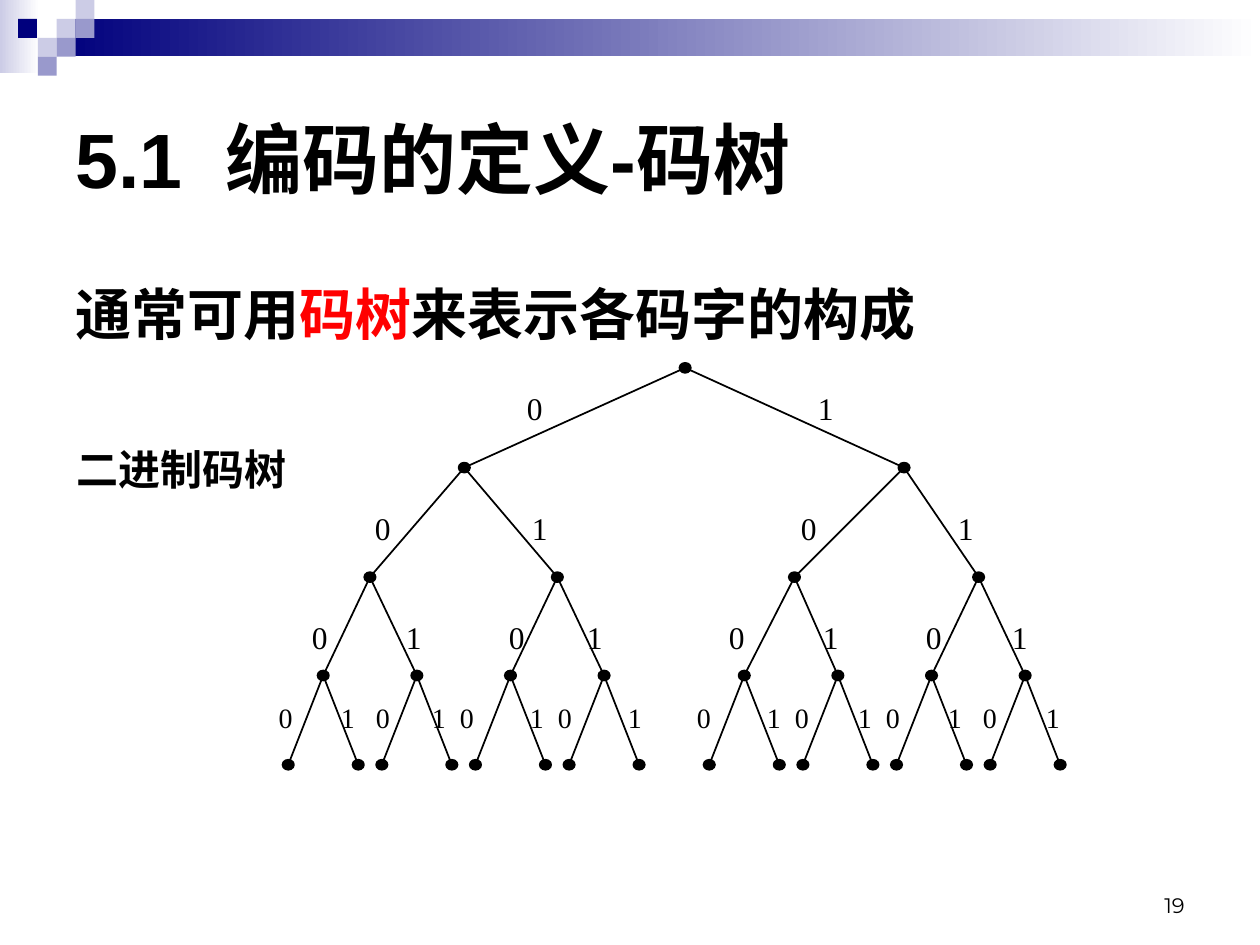
from itertools import chain
from lxml.etree import SubElement
from pptx import Presentation
from pptx.dml.color import RGBColor
from pptx.enum.shapes import MSO_CONNECTOR as CONN, MSO_SHAPE as SHAPE
from pptx.enum.text import MSO_ANCHOR as ANCHOR, PP_ALIGN as ALIGN
from pptx.oxml.ns import qn
from pptx.util import Pt

COLORS = {"black": "000000", "red": "FF0000", "white": "FFFFFF",
          "navy": "00007D", "pale": "CCCCE6", "mid": "9999CC"}
SANS, SERIF, NUMBER = "Arial", "Times New Roman", "Montserrat"

GRADIENT_BARS = [((0, 0, 22.5, 41.75), "pale"), ((32.5, 10.75, 687.5, 21.5), "navy")]
TILE = 10.8
TILES = [(32.4, 10.8, "pale"), (43.2, 0, "pale"), (43.2, 10.8, "mid"),
         (21.6, 21.6, "pale"), (10.3, 10.8, "navy"), (32.4, 21.6, "mid"),
         (21.6, 32.4, "mid")]

TEXTS = [
    dict(box=(516, 492, 168, 36), size=12, font=NUMBER, bold=False,
         runs=[("19", "black")], align=ALIGN.RIGHT, anchor=ANCHOR.BOTTOM),
    dict(box=(36, 36, 648, 108), size=44, font=SANS,
         runs=[("5.1  编码的定义-码树", "black")], anchor=ANCHOR.MIDDLE),
    dict(box=(36, 156, 648, 306), size=32, font=SANS, before=8,
         runs=[("通常可用", "black"), ("码树", "red"), ("来表示各码字的构成", "black")]),
    dict(box=(36.7, 250, 136, 36), size=24, font=SERIF, before=15,
         runs=[("二进制码树", "black")]),
]

BRANCH_X = [start + 53.5 * i for start in (184.7, 425.3) for i in range(4)]
LEAF_X = [x + dx for x in BRANCH_X for dx in (-20, 20)]
LEVELS = [(210.2, [391.5]), (267.2, [265.3, 516.6]),
          (329.8, [211.4, 318.5, 454, 559.2]), (386, BRANCH_X), (437, LEAF_X)]
NODE_W, NODE_H = 6.5, 5.7

LABEL_ROWS = [
    ((150.5, 213, 482, 36), 24, 18, [305.7, 472]),
    ((201.5, 281.5, 148, 36), 24, 18, [218.9, 308.6]),
    ((445, 281.5, 148, 36), 24, 18, [462.3, 552]),
    ((93.5, 343.5, 590, 69), 24, 18,
     [182.9, 236.6, 295.4, 340, 421.1, 474.9, 533.7, 582.9]),
    ((116, 394.5, 533, 29), 18, 16,
     [163.4, 198.9, 218.9, 250.9, 266.9, 306.9, 322.9, 362.9,
      402.3, 442.3, 458.3, 494.3, 510.3, 545.7, 565.7, 601.7]),
]
INSET = 7.2


def rgb(name):
    return RGBColor.from_string(COLORS[name])


def add_filled(s, kind, box, color, fade=False, line=False):
    sp = s.shapes.add_shape(kind, *map(Pt, box))
    sp.shadow.inherit = False
    if fade:
        sp.fill.gradient()
        sp.fill.gradient_angle = 0
        for stop, name in zip(sp.fill.gradient_stops, (color, "white")):
            stop.color.rgb = rgb(name)
    else:
        sp.fill.solid()
        sp.fill.fore_color.rgb = rgb(color)
    if line:
        sp.line.color.rgb = rgb(color)
        sp.line.width = Pt(1)
    else:
        sp.line.fill.background()


def add_paragraph_box(s, box, before=0, align=ALIGN.LEFT, anchor=ANCHOR.TOP):
    tf = s.shapes.add_textbox(*map(Pt, box)).text_frame
    tf.word_wrap = True
    tf.vertical_anchor = anchor
    p = tf.paragraphs[0]
    p.alignment = align
    p.space_before = Pt(before)
    return p


def add_run(p, text, size, font, color="black", bold=False):
    r = p.add_run()
    r.text = text
    r.font.size = Pt(size)
    r.font.name = font
    r.font.bold = bold
    r.font.color.rgb = rgb(color)


def add_text(s, box, runs, size, font, bold=True, **layout):
    p = add_paragraph_box(s, box, **layout)
    for text, color in runs:
        add_run(p, text, size, font, color, bold)


def add_label_row(s, box, tab_size, size, centers):
    p = add_paragraph_box(s, box, before=11.2 if size == 18 else 10)
    tabs = SubElement(p._p.get_or_add_pPr(), qn("a:tabLst"))
    for x in centers:
        SubElement(tabs, qn("a:tab"), pos=str(int(Pt(x - box[0] - INSET))), algn="ctr")
    add_run(p, "\t", tab_size, SERIF)
    add_run(p, "\t".join(str(i % 2) for i in range(len(centers))), size, SERIF)


def add_edge(s, start, end):
    c = s.shapes.add_connector(CONN.STRAIGHT, *map(Pt, chain(start, end)))
    c.line.color.rgb = rgb("black")
    c.line.width = Pt(1)
    SubElement(c._element.spPr, qn("a:effectLst"))


def add_tree(s):
    for y, xs in LEVELS:
        for x in xs:
            box = (x - NODE_W / 2, y - NODE_H / 2, NODE_W, NODE_H)
            add_filled(s, SHAPE.OVAL, box, "black", line=True)
    for (y, xs), (child_y, child_xs) in zip(LEVELS, LEVELS[1:]):
        for i, child_x in enumerate(child_xs):
            add_edge(s, (xs[i // 2], y), (child_x, child_y))
    for row in LABEL_ROWS:
        add_label_row(s, *row)


def main():
    prs = Presentation()
    prs.slide_width, prs.slide_height = Pt(720), Pt(540)
    s = prs.slides.add_slide(prs.slide_layouts[6])
    for box, color in GRADIENT_BARS:
        add_filled(s, SHAPE.RECTANGLE, box, color, fade=True)
    for x, y, color in TILES:
        add_filled(s, SHAPE.RECTANGLE, (x, y, TILE, TILE), color)
    for item in TEXTS:
        add_text(s, **item)
    add_tree(s)
    prs.save("out.pptx")


if __name__ == "__main__":
    main()
